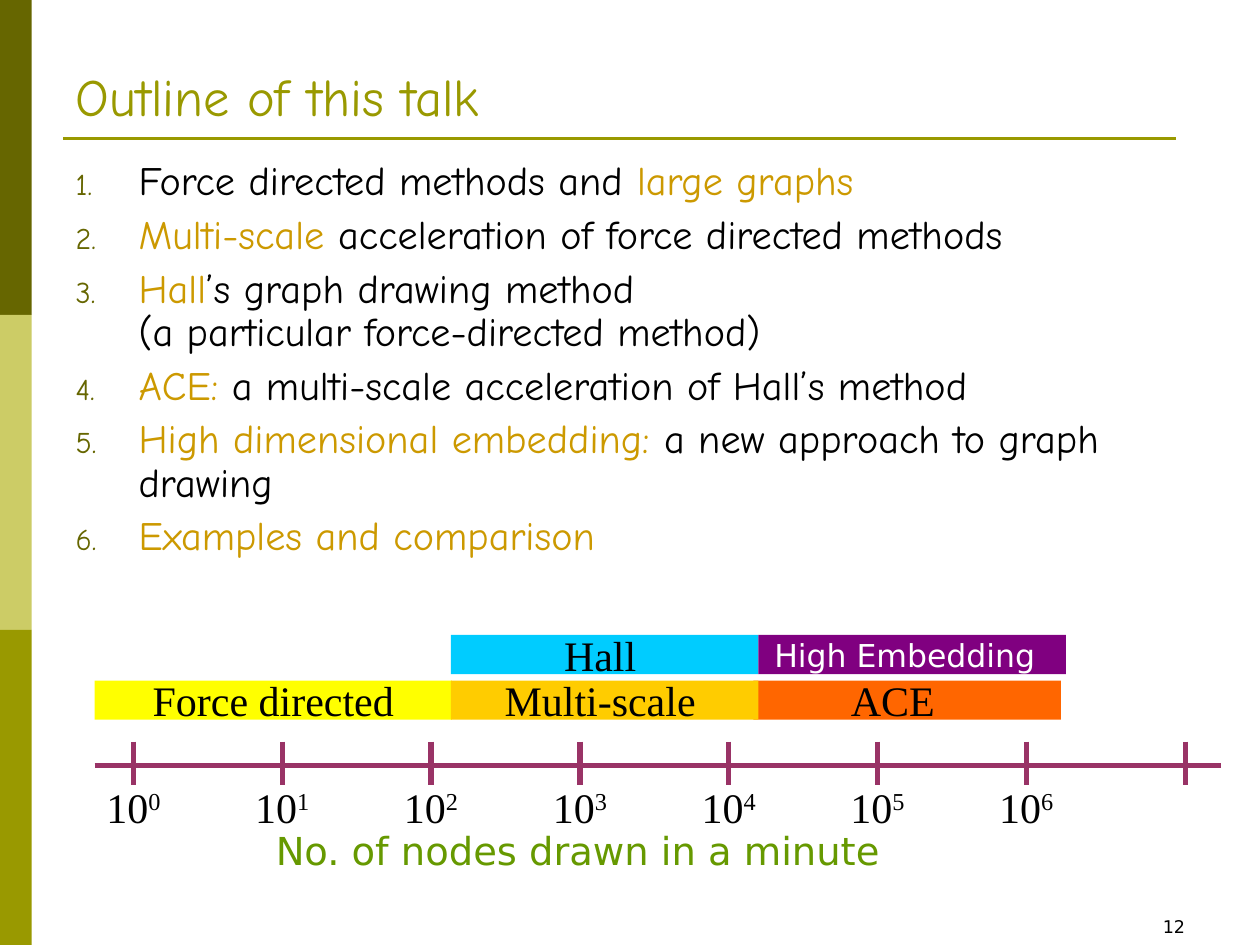
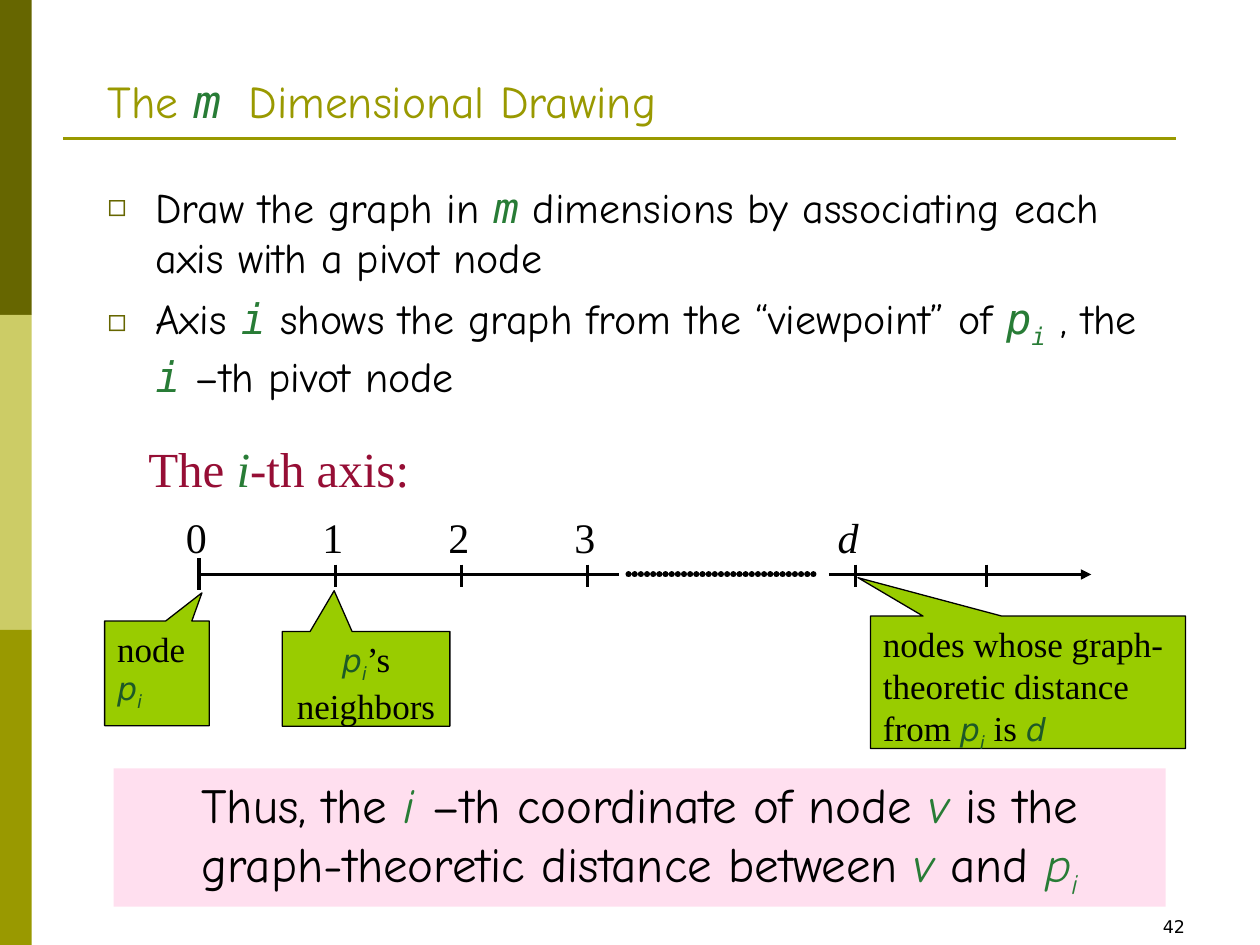
from collections import namedtuple

from lxml.etree import SubElement
from pptx import Presentation
from pptx.dml.color import RGBColor
from pptx.enum.shapes import MSO_CONNECTOR, MSO_SHAPE
from pptx.enum.text import MSO_ANCHOR, MSO_AUTO_SIZE, PP_ALIGN
from pptx.oxml.ns import qn
from pptx.util import Cm, Pt

LEFT, CENTER, RIGHT = PP_ALIGN.LEFT, PP_ALIGN.CENTER, PP_ALIGN.RIGHT
TOP, MIDDLE, BOTTOM = MSO_ANCHOR.TOP, MSO_ANCHOR.MIDDLE, MSO_ANCHOR.BOTTOM
FIXED = MSO_AUTO_SIZE.NONE
RECT, CALLOUT = MSO_SHAPE.RECTANGLE, MSO_SHAPE.RECTANGULAR_CALLOUT
STRAIGHT = MSO_CONNECTOR.STRAIGHT

BLACK = RGBColor(0x00, 0x00, 0x00)
WHITE = RGBColor(0xFF, 0xFF, 0xFF)
DARK = RGBColor(0x66, 0x66, 0x00)
PALE = RGBColor(0xCC, 0xCC, 0x66)
OLIVE = RGBColor(0x99, 0x99, 0x00)
GOLD = RGBColor(0xCC, 0x99, 0x00)
GREEN = RGBColor(0x28, 0x7C, 0x36)
PINE = RGBColor(0x1D, 0x59, 0x27)
LEAF = RGBColor(0x66, 0x99, 0x00)
LIME = RGBColor(0x99, 0xCC, 0x00)
PLUM = RGBColor(0x99, 0x33, 0x66)
WINE = RGBColor(0x96, 0x0E, 0x35)
PINK = RGBColor(0xFF, 0xDF, 0xEF)
YELLOW = RGBColor(0xFF, 0xFF, 0x00)
AMBER = RGBColor(0xFF, 0xCC, 0x00)
ORANGE = RGBColor(0xFF, 0x66, 0x00)
CYAN = RGBColor(0x00, 0xCC, 0xFF)
PURPLE = RGBColor(0x80, 0x00, 0x80)

COMIC, SANS = "Comic Neue", "DejaVu Sans"
MONO, SERIF = "DejaVu Sans Mono", "Times New Roman"

Look = namedtuple("Look", "size font color italic base", defaults=(BLACK, False, 0))


def put(para, parts):
    """Write (text, look) parts into a paragraph as styled runs."""
    for text, look in parts:
        for row, piece in enumerate(text.split("\n")):
            if row:
                para.add_line_break()
                SubElement(para._p[-1], qn("a:rPr"), sz=str(look.size * 100))
            run = para.add_run()
            run.text = piece
            font = run.font
            font.size, font.name = Pt(look.size), look.font
            font.italic, font.color.rgb = look.italic, look.color
            if look.base:
                run._r.get_or_add_rPr().set("baseline", str(look.base * 1000))


def place(shape, at):
    """Move and size a shape, in centimetres."""
    shape.left, shape.top, shape.width, shape.height = map(Cm, at)


def label(slide, at, parts, align=LEFT):
    """Add a text box with one paragraph."""
    box = slide.shapes.add_textbox(*map(Cm, at))
    box.text_frame.word_wrap = True
    para = box.text_frame.paragraphs[0]
    para.alignment = align
    put(para, parts)


def block(slide, at, color, kind=RECT, parts=(), align=CENTER, anchor=TOP):
    """Add a plain filled shape, with text if there is any."""
    shape = slide.shapes.add_shape(kind, *map(Cm, at))
    shape.shadow.inherit = False
    shape.fill.solid()
    shape.fill.fore_color.rgb = color
    shape.line.fill.background()
    shape.text_frame.vertical_anchor = anchor
    para = shape.text_frame.paragraphs[0]
    para.alignment = align
    put(para, parts)
    return shape


def bar(slide, at, color, parts, pad):
    """Add a range bar whose name sits pad off the right edge."""
    frame = block(slide, at, color, parts=parts, anchor=MIDDLE).text_frame
    frame.word_wrap = False
    frame.margin_left = frame.margin_top = frame.margin_bottom = 0
    frame.margin_right = Cm(pad)


def callout(slide, at, tip, parts, align=LEFT):
    """Add a callout that points at tip."""
    shape = block(slide, at, LIME, CALLOUT, parts, align)
    shape.line.color.rgb = BLACK
    shape.line.width = Pt(0.75)
    shape.adjustments[0], shape.adjustments[1] = tip


def line(slide, x1, y1, x2, y2, color, width):
    """Add a straight line and return its a:ln element."""
    link = slide.shapes.add_connector(STRAIGHT, Cm(x1), Cm(y1), Cm(x2), Cm(y2))
    link.line.color.rgb = color
    link.line.width = Pt(width)
    props = link._element.spPr
    SubElement(props, qn("a:effectLst"))
    return props.find(qn("a:ln"))


def title(slide, left, width, parts):
    """Fill the title placeholder, resting on the rule."""
    shape = slide.shapes.title
    place(shape, (left, 0, width, 2.69))
    frame = shape.text_frame
    frame.auto_size, frame.vertical_anchor = FIXED, BOTTOM
    frame.paragraphs[0].alignment = LEFT
    put(frame.paragraphs[0], parts)


def body(slide, at, items, indent, mark, gap, pitch):
    """Fill the body placeholder with a list marked by mark."""
    shape = slide.placeholders[1]
    place(shape, at)
    frame = shape.text_frame
    frame.auto_size = FIXED
    for row, parts in enumerate(items):
        para = frame.add_paragraph() if row else frame.paragraphs[0]
        props = para._p.get_or_add_pPr()
        props.set("marL", str(Cm(indent)))
        props.set("indent", str(-Cm(indent)))
        tint = SubElement(props, qn("a:buClr"))
        SubElement(tint, qn("a:srgbClr"), val=str(DARK))
        SubElement(props, qn("a:buSzPct"), val="75000")
        if mark == "1.":
            SubElement(props, qn("a:buAutoNum"), type="arabicPeriod")
        else:
            SubElement(props, qn("a:buChar"), char=mark)
        para.space_before = Pt(gap if row else 0)
        para.line_spacing = pitch
        put(para, parts)


def start(deck, number):
    """Add a slide with the side bands, title rule and number."""
    slide = deck.slides.add_slide(deck.slide_layouts[1])
    for row, color in enumerate((DARK, PALE, OLIVE)):
        block(slide, (0, 6.35 * row, 0.64, 6.35), color)
    line(slide, 1.27, 2.79, 23.7, 2.79, OLIVE, 1.5)
    label(slide, (18.21, 18.34, 5.93, 0.7), [(number, Look(10, SANS))], RIGHT)
    return slide


def outline(deck):
    """Build the outline slide with its scale of graph sizes."""
    slide = start(deck, "12")
    title(slide, 1.27, 22.86, [("Outline of this talk", Look(30, COMIC, OLIVE))])
    text = Look(23, COMIC)
    key = text._replace(color=GOLD)
    items = [
        [("Force directed methods and ", text), ("large graphs", key)],
        [("Multi-scale ", key), ("acceleration of force directed methods", text)],
        [("Hall", key),
         ("’s graph drawing method\n(a particular force-directed method)", text)],
        [("ACE: ", key), ("a multi-scale acceleration of Hall’s method", text)],
        [("High dimensional embedding: ", key),
         ("a new approach to graph drawing", text)],
        [("Examples and comparison", key)],
    ]
    body(slide, (1.27, 3.12, 22.86, 9.19), items, 1.27, "1.", 5.8, 0.9)

    name = Look(24, SERIF)
    high, low = 12.8, 13.72
    bars = [
        ("Force directed", 1.91, low, 7.2, YELLOW, name, 0),
        ("Hall", 9.09, high, 6.2, CYAN, name, 0.18),
        ("ACE", 15.19, low, 6.2, ORANGE, name, 0.58),
        ("Multi-scale", 9.09, low, 6.2, AMBER, name, 0.18),
        ("High Embedding", 15.29, high, 6.2, PURPLE, Look(18, SANS, WHITE), 0.3),
    ]
    for word, left, top, width, color, look, pad in bars:
        bar(slide, (left, top, width, 0.79), color, [(word, look)], pad)

    line(slide, 1.91, 15.43, 24.61, 15.43, PLUM, 3)
    ticks = [2.69 + 3 * power for power in range(7)]
    for x in ticks + [23.9]:
        line(slide, x, 14.95, x, 15.82, PLUM, 3)
    for power, x in enumerate(ticks):
        parts = [("10", name), (str(power), name._replace(base=30))]
        label(slide, (x - 1.1, 15.63, 2.2, 1.27), parts, CENTER)
    label(slide, (5.31, 16.54, 13.59, 1.19),
          [("No. of nodes drawn in a minute", Look(22, SANS, LEAF))])


def drawing(deck):
    """Build the slide on drawing along pivot axes."""
    slide = start(deck, "42")
    head = Look(26, COMIC, OLIVE)
    title(slide, 1.91, 21.59, [
        ("The ", head), ("m ", Look(26, MONO, GREEN, True)),
        ("Dimensional Drawing", head)])
    text = Look(24, COMIC)
    sign = Look(24, MONO, GREEN, True)
    items = [
        [("Draw the graph in ", text), ("m", sign),
         (" dimensions by associating each axis with a pivot node", text)],
        [("Axis ", text), ("i", sign),
         (" shows the graph from the “viewpoint” of ", text), ("p", sign),
         ("i", sign._replace(base=-25)), (" , the ", text), ("i", sign),
         (" –th pivot node", text)],
    ]
    body(slide, (1.91, 3.53, 21.79, 5.28), items, 0.97, "◻", 6, 1.0)

    wine = Look(28, SERIF, WINE)
    label(slide, (2.74, 8.71, 5.92, 1.45), [
        ("The ", wine), ("i", wine._replace(color=GREEN, italic=True)),
        ("-th axis:", wine)])

    y = 11.58
    line(slide, 4.01, y, 12.47, y, BLACK, 2)
    dots = line(slide, 12.67, y, 16.48, y, BLACK, 3.5)
    dots.set("cap", "rnd")
    dash = SubElement(dots, qn("a:custDash"))
    SubElement(dash, qn("a:ds"), d="1000", sp="100000")
    arrow = line(slide, 16.71, y, 22, y, BLACK, 2)
    SubElement(arrow, qn("a:tailEnd"), type="triangle")
    line(slide, 4.01, 11.25, 4.01, 11.89, BLACK, 2)
    for x in (6.76, 9.3, 11.84, 17.25, 19.89):
        line(slide, x, 11.38, x, 11.84, BLACK, 2)
    digit = Look(24, SERIF)
    marks = [("0", 4.01), ("1", 6.76), ("2", 9.3), ("3", 11.84), ("d", 17.15)]
    for mark, x in marks:
        look = digit._replace(italic=mark == "d")
        label(slide, (x - 0.86, 10.19, 1.27, 1.27), [(mark, look)], RIGHT)

    note = Look(20, SERIF)
    var = Look(18, SANS, PINE, True)
    pivot = [("p", var), ("i", var._replace(base=-25))]
    callout(slide, (2.11, 12.52, 2.11, 2.11), (0.43, -0.77),
            [("node ", note)] + pivot)
    callout(slide, (5.69, 12.73, 3.38, 1.91), (-0.19, -0.93),
            pivot + [("’s neighbors", note)], CENTER)
    callout(slide, (17.55, 12.42, 6.35, 2.67), (-0.54, -0.79),
            [("nodes whose graph-theoretic distance from ", note)] + pivot
            + [(" is ", note), ("d", var)])

    big = Look(28, COMIC)
    sym = big._replace(color=GREEN, italic=True)
    block(slide, (2.29, 15.49, 21.21, 2.79), PINK, parts=[
        ("Thus, the ", big), ("i", sym), (" –th coordinate of node ", big),
        ("v", sym), (" is the graph-theoretic distance between ", big),
        ("v ", sym), ("and ", big), ("p", sym), ("i", sym._replace(base=-25))])


def main():
    """Build and save the deck."""
    deck = Presentation()
    deck.slide_width, deck.slide_height = Cm(25.4), Cm(19.05)
    outline(deck)
    drawing(deck)
    deck.save("out.pptx")


if __name__ == "__main__":
    main()
